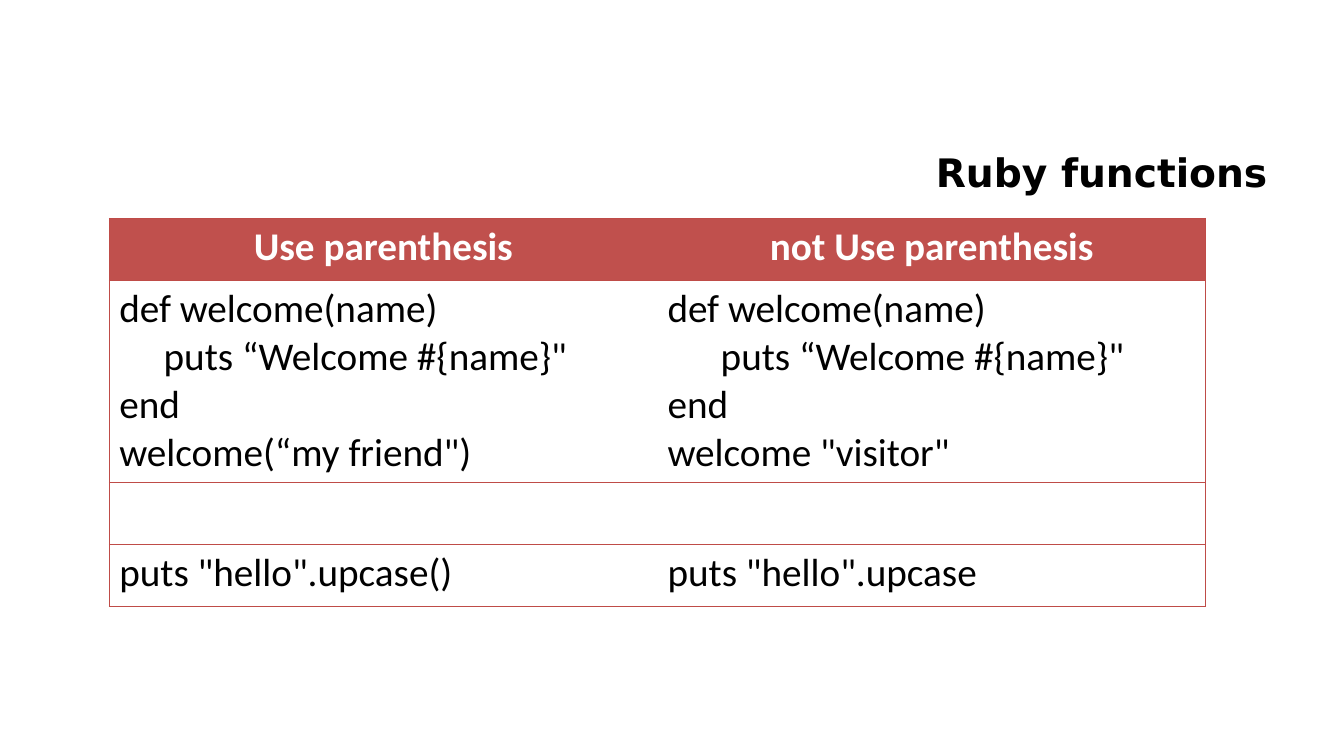
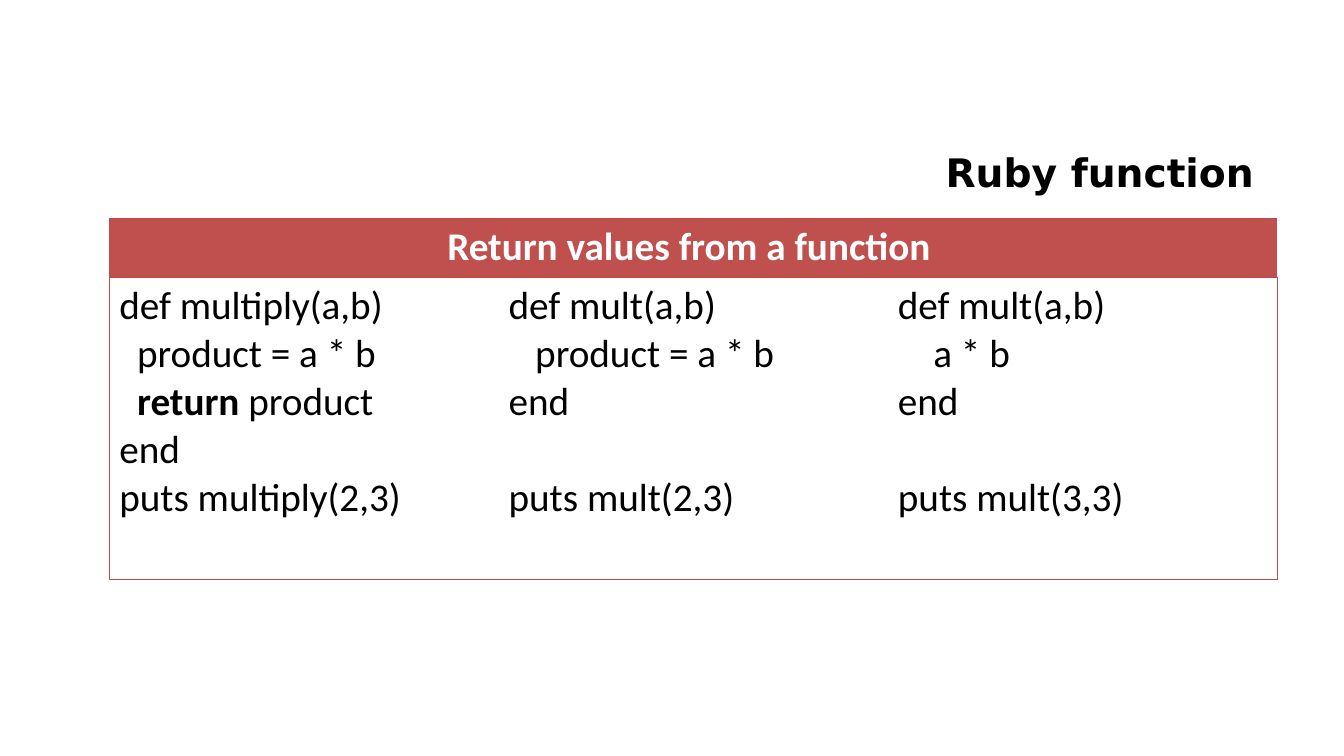
from lxml import etree
from pptx import Presentation
from pptx.dml.color import RGBColor
from pptx.enum import text
from pptx.oxml import ns
from pptx.util import Emu, Inches, Pt

COLORS = {"header": "C0504D", "border": "BF4C48", "paper": "FFFFFF", "ink": "000000"}
TITLE_FONT, BODY_FONT, SIZE = "DejaVu Sans", "Calibri", 28
PLAIN_STYLE = "{2D5ABB26-0587-4C30-8999-92F81FD0307C}"
LINE, SPACE = 34.2, 6.33
SIDES = ("L", "R", "T", "B")

prs = Presentation()
prs.slide_width, prs.slide_height = Inches(13.33), Inches(7.5)
UNIT = prs.slide_height / 90
TITLE_BOX = (34.7, 15, 117.3, 11)


def grid(*lengths):
    return [Emu(round(n * UNIT)) for n in lengths]


def rgb(name):
    return RGBColor.from_string(COLORS[name])


def add_run(p, words, font=BODY_FONT, color="ink", bold=False):
    r = p.add_run()
    r.text = words
    r.font.name, r.font.size, r.font.bold = font, Pt(SIZE), bold
    r.font.color.rgb = rgb(color)


def add_title(s, box, words):
    tf = s.shapes.add_textbox(*grid(*box)).text_frame
    tf.word_wrap = True
    tf.vertical_anchor = text.MSO_ANCHOR.MIDDLE
    p = tf.paragraphs[0]
    p.alignment = text.PP_ALIGN.RIGHT
    add_run(p, words, TITLE_FONT, bold=True)


def style_cell(cell, fill, sides):
    cell.fill.solid()
    cell.fill.fore_color.rgb = rgb(fill)
    tc_pr = cell._tc.get_or_add_tcPr()
    drawn = [side for side in SIDES if side in sides]
    for i, side in enumerate(drawn):
        ln = etree.Element(ns.qn(f"a:ln{side}"), w=str(Pt(0.75)))
        solid = etree.SubElement(ln, ns.qn("a:solidFill"))
        etree.SubElement(solid, ns.qn("a:srgbClr"), val=COLORS["border"])
        tc_pr.insert(i, ln)


def write_header(cell, words):
    p = cell.text_frame.paragraphs[0]
    p.alignment = text.PP_ALIGN.CENTER
    add_run(p, words, color="paper", bold=True)


def write_code(cell, code):
    tf = cell.text_frame
    p, gap = tf.paragraphs[0], 0
    for i, line in enumerate(code.split("\n")):
        words = line.lstrip()
        if not words:
            gap += LINE
            continue
        if i:
            p = tf.add_paragraph()
        p.space_before, gap = Pt(gap), 0
        indent = (len(line) - len(words)) * SPACE
        if indent:
            p._p.get_or_add_pPr().set("marL", str(Pt(indent)))
        keyword, found, rest = words.partition("return")
        if found:
            add_run(p, found, bold=True)
            add_run(p, rest)
        else:
            add_run(p, keyword)


def add_code_table(s, box, heights, headers, body):
    n_rows, n_cols = len(heights), len(body[0])
    left, top, width = box
    frame = s.shapes.add_table(n_rows, n_cols, *grid(left, top, width, sum(heights)))
    table = frame.table
    table.first_row = table.horz_banding = False
    table._tbl.tblPr.find(ns.qn("a:tableStyleId")).text = PLAIN_STYLE
    for row, height in zip(table.rows, grid(*heights)):
        row.height = height
    for col in table.columns:
        col.width = grid(width / n_cols)[0]
    for i in range(n_rows):
        for j in range(n_cols):
            sides = "TB" + "L" * (j == 0) + "R" * (j == n_cols - 1)
            style_cell(table.cell(i, j), "paper" if i else "header", sides)
    if len(headers) < n_cols:
        table.cell(0, 0).merge(table.cell(0, n_cols - 1))
    for j, words in enumerate(headers):
        write_header(table.cell(0, j), words)
    for i, codes in enumerate(body, 1):
        for j, code in enumerate(codes):
            write_code(table.cell(i, j), code)


def add_code_slide(title, width, heights, headers, body):
    s = prs.slides.add_slide(prs.slide_layouts[6])
    add_title(s, TITLE_BOX, title)
    add_code_table(s, (13, 26, width), heights, headers, body)


add_code_slide(
    "Ruby functions", 130.5, (7.4, 24, 7.4, 7.4),
    ["Use parenthesis", "not Use parenthesis"],
    [['def welcome(name)\n     puts “Welcome #{name}"\nend\nwelcome(“my friend")',
      'def welcome(name)\n      puts “Welcome #{name}"\nend\nwelcome "visitor"'],
     ["", ""],
     ['puts "hello".upcase()', 'puts "hello".upcase']])

add_code_slide(
    "Ruby function ", 139, (7, 36),
    ["Return values from a function "],
    [["def multiply(a,b)\n  product = a * b\n  return product\nend\nputs multiply(2,3)",
      "def mult(a,b)\n   product = a * b\nend\n\nputs mult(2,3)",
      "def mult(a,b)\n    a * b\nend\n\nputs mult(3,3)"]])

prs.save("out.pptx")
